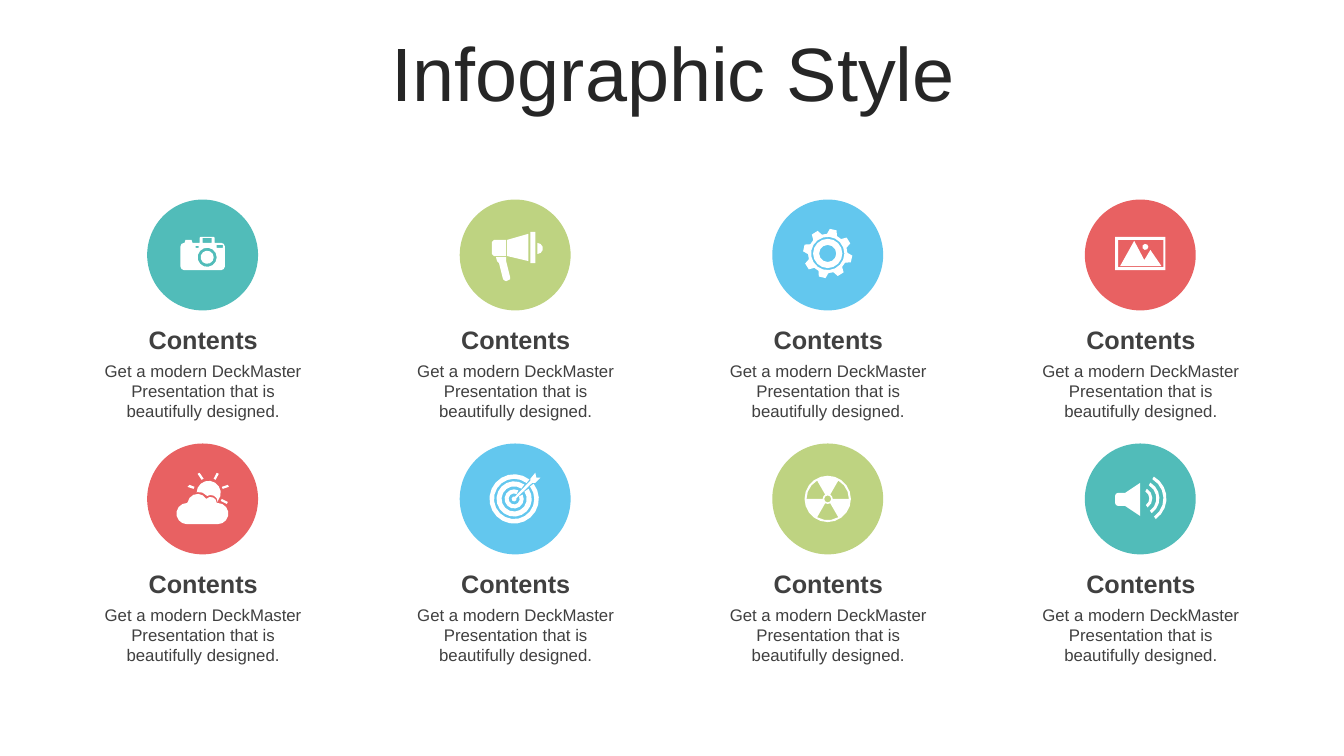
import math

import pptx
import pptx.dml.color
import pptx.enum.shapes
import pptx.enum.text
import pptx.util

Inches = pptx.util.Inches
TEAL, GREEN, BLUE, RED = "51BCB9", "BED381", "63C7EE", "E86162"
CENTER = pptx.enum.text.PP_ALIGN.CENTER


def color(value):
    return pptx.dml.color.RGBColor.from_string(value)


def paint(shape, fill):
    shape.shadow.inherit = False
    shape.fill.solid()
    shape.fill.fore_color.rgb = color(fill)
    shape.line.fill.background()


def arc(x, y, radius, start=0, end=360):
    steps = max(2, round(abs(end - start) * math.sqrt(radius) / 85))
    angles = [math.radians(start + (end - start) * i / steps) for i in range(steps + 1)]
    return [(x + radius * math.cos(a), y + radius * math.sin(a)) for a in angles]


def band(x, y, outer, inner, start, end):
    return arc(x, y, outer, start, end) + arc(x, y, inner, end, start)


def rectangle(x, y, width, height):
    return [(x, y), (x + width, y), (x + width, y + height), (x, y + height)]


def camera():
    bumps = [(-18, -12), (-17, -15), (-11, -15), (-10, -12), (-3, -12),
             (-3, -17), (-2, -18), (11, -18), (12, -17), (12, -12)]
    body = (arc(-18.5, 11.5, 3.5, 90, 180) + arc(-18.5, -8.5, 3.5, 180, 270) + bumps
            + arc(18.5, -8.5, 3.5, 270, 360) + arc(18.5, 11.5, 3.5, 0, 90))
    return [body, rectangle(0, -17, 9, 5), rectangle(-7, -9, 3, 2),
            rectangle(14, -10, 6, 3), arc(4.5, 2.3, 9.5), arc(4.5, 2.3, 6.5)]


def megaphone():
    handle = [(-9, 2), (-9, 6), (-5, 22), (-5, 24), (-7, 25), (-9, 26),
              (-11, 25), (-12, 24), (-16, 8), (-18, 6), (-19, 2)]
    cone = [(13, -21), (13, 6), (-8, 1), (-8, -15)]
    back = [(-9, -15), (-9, 1), (-21, 1), (-23, -1), (-23, -13), (-21, -15)]
    return [handle, cone, back, rectangle(15, -23, 5, 31),
            arc(22, -6.5, 5.5, -90, 90)]


def gear():
    profile = [(-15, 19.5), (-8, 24.5), (8, 24.5), (15, 19.5)]
    teeth = []
    for tooth in range(8):
        for turn, radius in profile:
            angle = math.radians(45 * tooth - 77 + turn)
            teeth.append((radius * math.cos(angle), radius * math.sin(angle) - 1.5))
    return [teeth] + [arc(0, -1.5, radius) for radius in (16.5, 14.5, 8.5)]


def landscape():
    mountains = [(-6, -14), (4, 5), (10, -5), (21, 11), (-20, 11)]
    return [rectangle(-25, -18, 50, 33), rectangle(-22, -15, 45, 27),
            mountains, arc(5, -8, 3)]


def sunny_cloud():
    cloud = (arc(-15.5, 14.5, 10.5, 90, 270) + arc(-5, 5, 10, 190, 330)
             + arc(8, 4, 6, 225, 360) + arc(15, 14.5, 10.5, -90, 90))
    sun = (arc(6, -6, 12, 180, 400) + arc(8, 3, 7, 0, -125)
           + arc(-4, 4, 11, -40, -100))
    rays = [[(-13, -14), (-8, -12), (-9, -10), (-15, -12)],
            [(-3, -26), (1, -20), (-1, -19), (-5, -25)],
            [(14, -26), (16, -25), (13, -19), (11, -20)],
            [(25, -14), (26, -12), (20, -10), (19, -12)],
            [(19, 0), (25, 3), (24, 5), (18, 2)]]
    return [cloud, sun] + rays


def target():
    rings = []
    for outer, inner in ((24.5, 20), (17.5, 12.5), (9.5, 5.5)):
        gap = math.degrees(math.asin(3 / outer))
        rings.append(band(-1, 0, outer, inner, gap - 45, 315 - gap))
    arrow = ([(15, -18), (15, -20), (20, -26), (21, -21), (25, -21), (20, -16), (17, -16)]
             + arc(-1, 0, 2.5, -20, 290))
    return rings + [arrow]


def radiation():
    blades = [band(0, 0, 21, 5, start, start + 60) for start in (60, 180, 300)]
    return [arc(0, 0, 23), arc(0, 0, 3.5)] + blades


def speaker():
    horn = ([(-15, -6), (0, -16), (0, 17), (-15, 7)]
            + arc(-22, 4, 3, 90, 180) + arc(-22, -3, 3, 180, 270))
    waves = [band(1, -0.5, radius, radius - 3, -60, 55) for radius in (11, 18, 25)]
    return [horn] + waves


def add_icon(page, x, y, outlines):
    scaled = [[(Inches(px / 100), Inches(py / 100)) for px, py in outline]
              for outline in outlines]
    builder = page.shapes.build_freeform(*scaled[0][0])
    builder.add_line_segments(scaled[0][1:])
    for outline in scaled[1:]:
        builder.move_to(*outline[0])
        builder.add_line_segments(outline[1:])
    paint(builder.convert_to_shape(Inches(x), Inches(y)), "FFFFFF")


def style_font(font, size, value, bold=False):
    font.name = "Arial"
    font.size = pptx.util.Pt(size)
    font.bold = bold
    font.color.rgb = color(value)


def add_label(page, left, top, height, text, size, bold):
    box = page.shapes.add_textbox(Inches(left), Inches(top), Inches(2.39), Inches(height))
    frame = box.text_frame
    frame.word_wrap = True
    frame.auto_size = pptx.enum.text.MSO_AUTO_SIZE.SHAPE_TO_FIT_TEXT
    para = frame.paragraphs[0]
    para.text = text
    para.alignment = CENTER
    style_font(para.font, size, "404040", bold)


def add_card(page, left, top, fill, outlines):
    disc = page.shapes.add_shape(pptx.enum.shapes.MSO_SHAPE.OVAL, Inches(left + 0.64),
                                 Inches(top), Inches(1.1), Inches(1.1))
    paint(disc, fill)
    add_icon(page, left + 1.19, top + 0.55, outlines)
    add_label(page, left, top + 1.19, 0.4, "Contents", 18, True)
    add_label(page, left, top + 1.55, 0.71,
              "Get a modern DeckMaster Presentation that is beautifully designed.", 12, False)


def add_title(page, left, top, width, height):
    title = page.shapes.title
    title.left, title.top = Inches(left), Inches(top)
    title.width, title.height = Inches(width), Inches(height)
    frame = title.text_frame
    frame.auto_size = pptx.enum.text.MSO_AUTO_SIZE.NONE
    frame.vertical_anchor = pptx.enum.text.MSO_ANCHOR.MIDDLE
    para = frame.paragraphs[0]
    para.text = "Infographic Style"
    para.alignment = CENTER
    para.line_spacing = 0.9
    style_font(para.font, 54, "262626")


def main():
    deck = pptx.Presentation()
    deck.slide_width, deck.slide_height = Inches(13.33), Inches(7.5)
    page = deck.slides.add_slide(deck.slide_layouts[5])
    add_title(page, 0.35, 0.37, 12.66, 0.79)
    rows = [
        [(TEAL, camera), (GREEN, megaphone), (BLUE, gear), (RED, landscape)],
        [(RED, sunny_cloud), (BLUE, target), (GREEN, radiation), (TEAL, speaker)],
    ]
    for row, cards in enumerate(rows):
        for column, (fill, icon) in enumerate(cards):
            add_card(page, 0.82 + 3.1 * column, 1.98 + 2.42 * row, fill, icon())
    deck.save("out.pptx")


if __name__ == "__main__":
    main()
